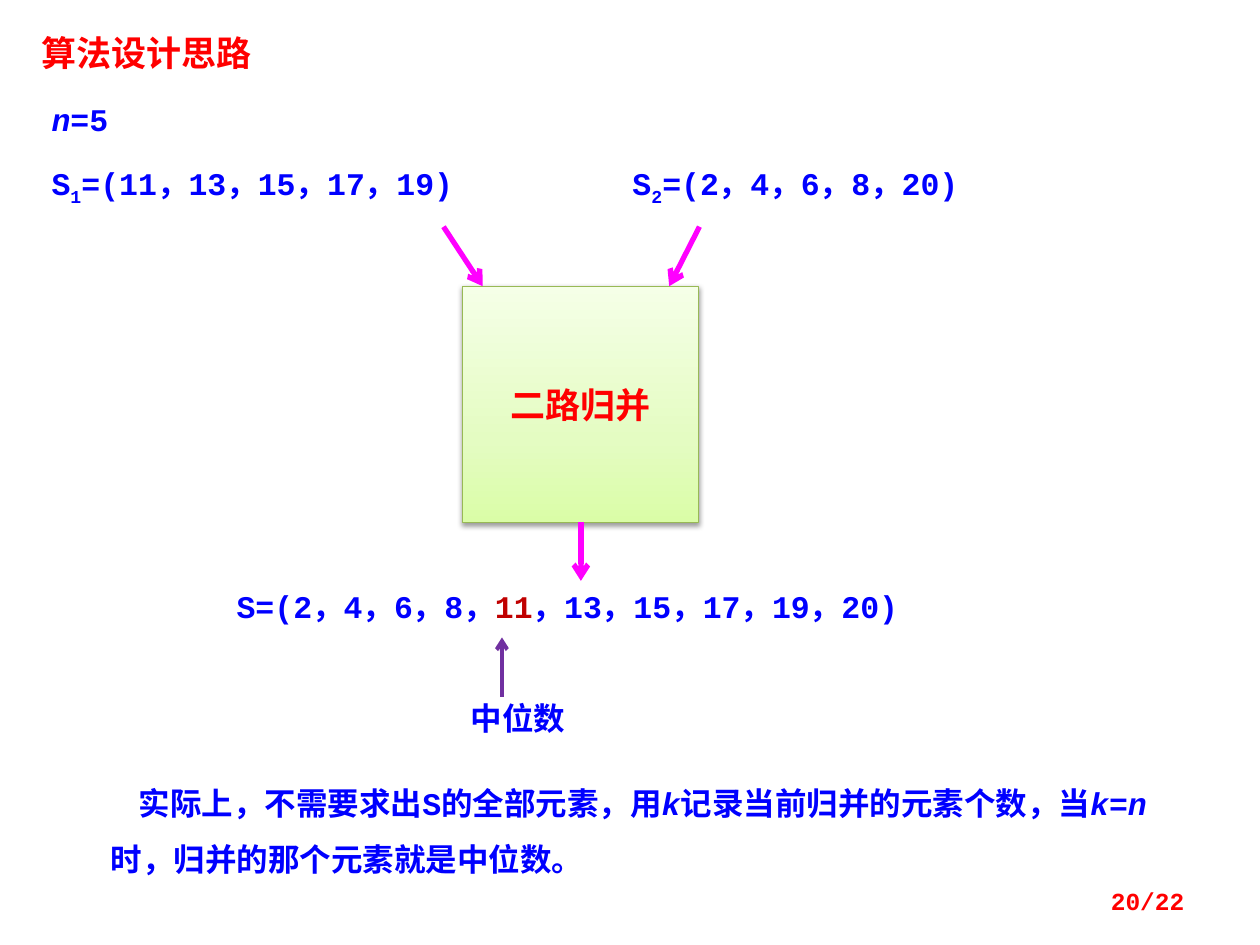
from lxml import etree
from pptx import Presentation
from pptx.dml.color import RGBColor
from pptx.enum.shapes import MSO_CONNECTOR, MSO_SHAPE
from pptx.enum.text import MSO_ANCHOR, MSO_AUTO_SIZE, PP_ALIGN
from pptx.oxml import parse_xml
from pptx.oxml.ns import nsdecls, qn
from pptx.util import Cm, Pt

# Content: each run is (text, style); style "i" italic, "sub" subscript, or a colour
LATIN, CJK = "Courier New", "Noto Sans CJK SC"
BLUE, RED, DARK_RED = "0000FF", "FF0000", "C00000"
MAGENTA, PURPLE = "FF00FF", "7030A0"

TITLE = [("算法设计思路", "")]
MERGE = [("二路归并", "")]
PAGE = [("20/22", "")]
EXPLANATION = [
    ("实际上，不需要求出S的全部元素，用", ""), ("k", "i"),
    ("记录当前归并的元素个数，当", ""), ("k", "i"), ("=", ""), ("n", "i"),
    ("时，归并的那个元素就是中位数。", ""),
]

# Text boxes: (left, top, width, height) in cm, runs, latin font, alignment
LEFT, CENTER, RIGHT = PP_ALIGN.LEFT, PP_ALIGN.CENTER, PP_ALIGN.RIGHT
LABELS = [
    ((0.79, 1.9, 3.18, 1.02), [("n", "i"), ("=5", "")], LATIN, LEFT),
    ((0.79, 3.18, 10.92, 1.02),
     [("S", ""), ("1", "sub"), ("=(11，13，15，17，19)", "")], LATIN, LEFT),
    ((12.5, 3.18, 9.73, 1.02),
     [("S", ""), ("2", "sub"), ("=(2，4，6，8，20)", "")], LATIN, LEFT),
    ((4.52, 11.71, 14.12, 1.02),
     [("S=(2，4，6，8，", ""), ("11", DARK_RED), ("，13，15，17，19，20)", "")],
     LATIN, LEFT),
    ((8.97, 13.97, 2.95, 1.02), [("中位数", "")], CJK, CENTER),
]

# Arrows: start, end in cm, colour, width in points
ARROWS = [
    ((8.94, 4.57), (9.73, 5.77), MAGENTA, 3),
    ((14.1, 4.57), (13.49, 5.77), MAGENTA, 3),
    ((11.71, 10.52), (11.71, 11.71), MAGENTA, 3),
    ((10.12, 14.05), (10.12, 12.85), PURPLE, 2.25),
]

GRADIENT = [(0, "DAFDA7"), (35, "E4FCC2"), (100, "F5FFE7")]


def rgb(value):
    return RGBColor.from_string(value)


def cm(*values):
    return [Cm(v) for v in values]


def write(tf, runs, font=LATIN, size=18, color=BLUE, align=LEFT,
          anchor=MSO_ANCHOR.TOP):
    tf.word_wrap = True
    tf.auto_size = MSO_AUTO_SIZE.NONE
    tf.vertical_anchor = anchor
    p = tf.paragraphs[0]
    p.alignment = align
    for text, style in runs:
        r = p.add_run()
        r.text = text
        f = r.font
        f.name, f.size, f.bold, f.italic = font, Pt(size), True, style == "i"
        f.color.rgb = rgb(style if len(style) == 6 else color)
        rPr = r._r.get_or_add_rPr()
        etree.SubElement(rPr, qn("a:ea")).set("typeface", CJK)
        if style == "sub":
            rPr.set("baseline", "-25000")
    return p


def add_text(s, box, runs, **kwargs):
    return write(s.shapes.add_textbox(*cm(*box)).text_frame, runs, **kwargs)


def add_arrow(s, start, end, color, width):
    sp = s.shapes.add_connector(MSO_CONNECTOR.STRAIGHT, *cm(*start, *end))
    sp.line.color.rgb = rgb(color)
    sp.line.width = Pt(width)
    etree.SubElement(sp.line._get_or_add_ln(), qn("a:tailEnd")).set("type", "arrow")
    etree.SubElement(sp._element.spPr, qn("a:effectLst"))


def add_merge_box(s):
    sp = s.shapes.add_shape(MSO_SHAPE.RECTANGLE, *cm(9.32, 5.77, 4.77, 4.77))
    sp.line.color.rgb = rgb("98B955")
    sp.line.width = Pt(0.75)
    # Three-stop gradient running upwards, and a soft shadow below
    stops = "".join(f'<a:gs pos="{pos * 1000}"><a:srgbClr val="{c}"/></a:gs>'
                    for pos, c in GRADIENT)
    spPr = sp._element.spPr
    spPr.find(qn("a:prstGeom")).addnext(parse_xml(
        f'<a:gradFill {nsdecls("a")} rotWithShape="1"><a:gsLst>{stops}</a:gsLst>'
        '<a:lin ang="16200000" scaled="0"/></a:gradFill>'))
    spPr.append(parse_xml(
        f'<a:effectLst {nsdecls("a")}><a:outerShdw blurRad="{Pt(3.1)}" '
        f'dist="{Pt(1.6)}" dir="5400000" rotWithShape="0"><a:srgbClr val="000000">'
        '<a:alpha val="38000"/></a:srgbClr></a:outerShdw></a:effectLst>'))
    write(sp.text_frame, MERGE, CJK, 20, RED, CENTER, MSO_ANCHOR.MIDDLE)


def main():
    prs = Presentation()
    prs.slide_width, prs.slide_height = cm(25.4, 19.05)
    s = prs.slides.add_slide(prs.slide_layouts[5])

    # Title
    title = s.shapes.title
    title.left, title.top, title.width, title.height = cm(0.58, 0.51, 7.54, 1.12)
    write(title.text_frame, TITLE, CJK, 20, RED)

    # Merge diagram
    add_merge_box(s)
    for arrow in ARROWS:
        add_arrow(s, *arrow)
    for box, runs, font, align in LABELS:
        add_text(s, box, runs, font=font, align=align)

    # Explanation with an indented first line
    p = add_text(s, (1.98, 15.29, 21.44, 2.46), EXPLANATION)
    p.line_spacing = 1.5
    p._p.get_or_add_pPr().set("indent", str(Cm(0.57)))

    # Page number
    add_text(s, (18.21, 17.65, 5.92, 1.02), PAGE, size=14, color=RED,
             align=RIGHT, anchor=MSO_ANCHOR.MIDDLE)

    prs.save("out.pptx")


if __name__ == "__main__":
    main()
